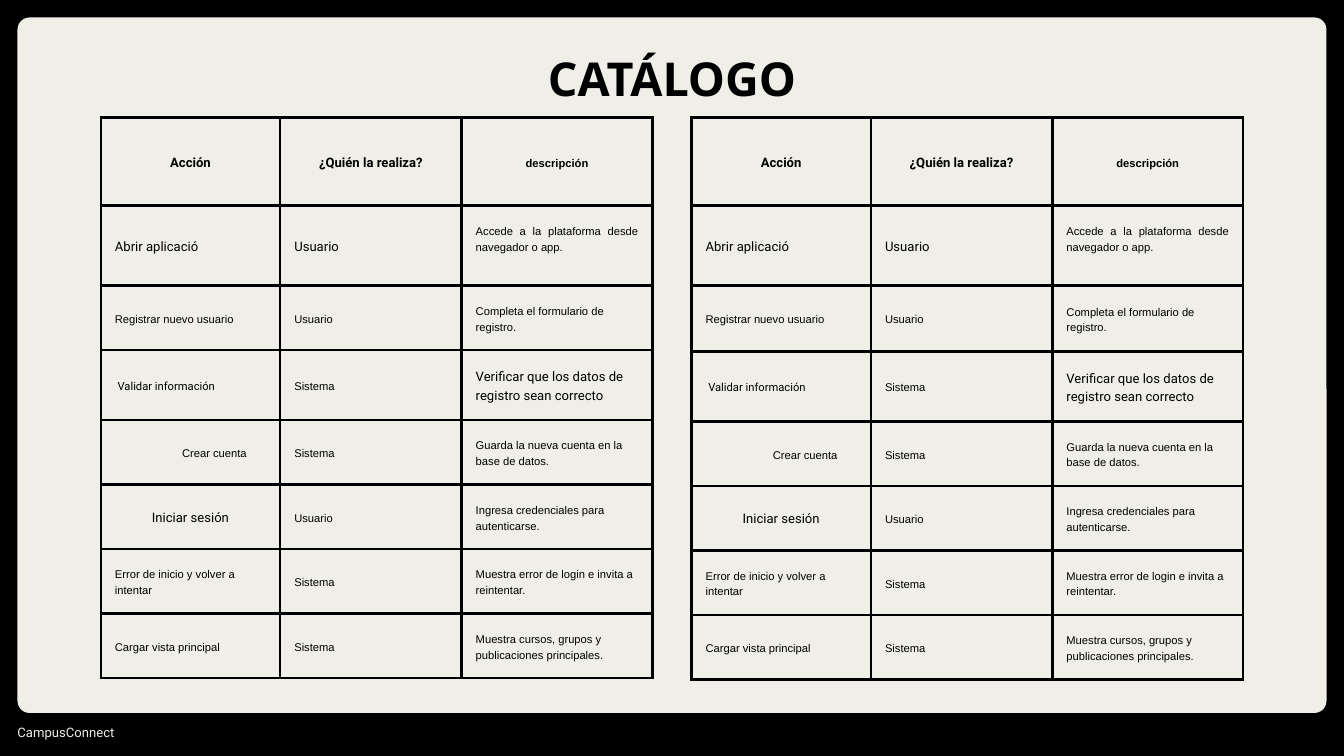
from dataclasses import dataclass

from lxml import etree
from pptx import Presentation
from pptx.dml.color import RGBColor
from pptx.enum.shapes import MSO_SHAPE
from pptx.enum.text import MSO_ANCHOR, PP_ALIGN
from pptx.oxml.ns import qn
from pptx.util import Pt

EMU_PER_PX = 9144  # 100 px to the inch
LEFT, CENTER, JUSTIFY = PP_ALIGN.LEFT, PP_ALIGN.CENTER, PP_ALIGN.JUSTIFY
TOP, MIDDLE, BOTTOM = MSO_ANCHOR.TOP, MSO_ANCHOR.MIDDLE, MSO_ANCHOR.BOTTOM
ROUNDED = MSO_SHAPE.ROUNDED_RECTANGLE
TITLE_ONLY = 5


@dataclass(frozen=True)
class TextStyle:
    font: str
    size: int
    leading: float
    bold: bool = False
    color: str = "000000"


@dataclass(frozen=True)
class Theme:
    ink: str = "000000"
    paper: str = "EFEEE7"
    border: int = 3
    title: TextStyle = TextStyle("Open Sans", 50, 70, True)
    footer: TextStyle = TextStyle("Roboto", 14, 16.8, color="EFEEE7")
    head: TextStyle = TextStyle("Roboto", 14, 19.6, True)
    small_head: TextStyle = TextStyle("Arial", 12, 16.8, True)
    large: TextStyle = TextStyle("Roboto", 14, 19.6)
    body: TextStyle = TextStyle("Arial", 12, 16.8)
    body_alt: TextStyle = TextStyle("Roboto", 12, 16.8)


THEME = Theme()


@dataclass(frozen=True)
class Entry:
    """One table cell; indent and lift widen its left and bottom margins."""
    text: str
    style: TextStyle = THEME.body
    align: PP_ALIGN = LEFT
    indent: int = 0
    lift: int = 0


@dataclass(frozen=True)
class Catalogue:
    left: int
    row_heights: tuple[int, ...]


TABLE_TOP = 175
CELL_MARGIN = 21
COLUMN_WIDTHS = (267, 270, 284)
CATALOGUES = (
    Catalogue(150, (131, 119, 96, 104, 96, 96, 96, 96)),
    Catalogue(1029, (131, 119, 98, 104, 96, 96, 96, 96)),
)
ROWS = (
    (Entry("Acción", THEME.head, CENTER),
     Entry("¿Quién la realiza?", THEME.head, CENTER),
     Entry("descripción", THEME.small_head, CENTER)),
    (Entry("Abrir aplicació", THEME.large),
     Entry("Usuario", THEME.large),
     Entry("Accede a la plataforma desde navegador o app.", align=JUSTIFY, lift=23)),
    (Entry("Registrar nuevo usuario"),
     Entry("Usuario"),
     Entry("Completa el formulario de registro.")),
    (Entry("Validar información", THEME.body_alt, indent=4),
     Entry("Sistema"),
     Entry("Verificar que los datos de registro sean correcto", THEME.large)),
    (Entry("Crear cuenta", indent=100),
     Entry("Sistema"),
     Entry("Guarda la nueva cuenta en la base de datos.")),
    (Entry("Iniciar sesión", THEME.large, CENTER),
     Entry("Usuario"),
     Entry("Ingresa credenciales para autenticarse.")),
    (Entry("Error de inicio y volver a intentar"),
     Entry("Sistema"),
     Entry("Muestra error de login e invita a reintentar.")),
    (Entry("Cargar vista principal"),
     Entry("Sistema"),
     Entry("Muestra cursos, grupos y publicaciones principales.")),
)


def px(length: int) -> int:
    return length * EMU_PER_PX


def write(frame, text: str, style: TextStyle, align: PP_ALIGN = LEFT) -> None:
    frame.word_wrap = True
    frame.text = text
    paragraph = frame.paragraphs[0]
    paragraph.alignment = align
    paragraph.line_spacing = Pt(style.leading)
    paragraph.space_before = Pt(0)
    font = paragraph.runs[0].font
    font.name, font.size, font.bold = style.font, Pt(style.size), style.bold
    font.color.rgb = RGBColor.from_string(style.color)


def set_margins(holder, left: int, top: int, right: int, bottom: int) -> None:
    holder.margin_left, holder.margin_top = px(left), px(top)
    holder.margin_right, holder.margin_bottom = px(right), px(bottom)


def add_borders(cell) -> None:
    properties = cell._tc.get_or_add_tcPr()
    for side in ("a:lnL", "a:lnR", "a:lnT", "a:lnB"):
        line = etree.SubElement(properties, qn(side), w=str(Pt(THEME.border)))
        fill = etree.SubElement(line, qn("a:solidFill"))
        etree.SubElement(fill, qn("a:srgbClr"), val=THEME.ink)


def fill_cell(cell, entry: Entry) -> None:
    write(cell.text_frame, entry.text, entry.style, entry.align)
    cell.vertical_anchor = MIDDLE
    set_margins(cell, CELL_MARGIN + entry.indent, CELL_MARGIN,
                CELL_MARGIN, CELL_MARGIN + entry.lift)
    add_borders(cell)
    cell.fill.background()


def add_catalogue(page, catalogue: Catalogue) -> None:
    table = page.shapes.add_table(
        len(ROWS), len(COLUMN_WIDTHS), px(catalogue.left), px(TABLE_TOP),
        px(sum(COLUMN_WIDTHS)), px(sum(catalogue.row_heights))).table
    table.first_row = table.horz_banding = False
    for column, width in zip(table.columns, COLUMN_WIDTHS):
        column.width = px(width)
    for row, height, entries in zip(table.rows, catalogue.row_heights, ROWS):
        row.height = px(height)
        for cell, entry in zip(row.cells, entries):
            fill_cell(cell, entry)


def add_card(page) -> None:
    width, height, radius = 1948, 1035, 18
    card = page.shapes.add_shape(ROUNDED, px(26), px(26), px(width), px(height))
    card.adjustments[0] = radius / height
    card.shadow.inherit = False
    card.fill.solid()
    card.fill.fore_color.rgb = RGBColor.from_string(THEME.paper)
    card.line.fill.background()
    # The card lies behind the title placeholder.
    page.shapes.title._element.addprevious(card._element)


def add_title(page) -> None:
    title = page.shapes.title
    title.left, title.top, title.width, title.height = map(px, (150, 60, 1700, 94))
    frame = title.text_frame
    frame.vertical_anchor = TOP
    set_margins(frame, 0, 0, 0, 0)
    write(frame, "CATÁLOGO", THEME.title, CENTER)


def add_footer(page) -> None:
    box = page.shapes.add_textbox(px(26), px(1060), px(268), px(65))
    frame = box.text_frame
    frame.vertical_anchor = BOTTOM
    set_margins(frame, 0, 0, 0, 23)
    write(frame, "CampusConnect", THEME.footer)


def main() -> None:
    deck = Presentation()
    deck.slide_width, deck.slide_height = px(2000), px(1125)
    page = deck.slides.add_slide(deck.slide_layouts[TITLE_ONLY])
    page.background.fill.solid()
    page.background.fill.fore_color.rgb = RGBColor.from_string(THEME.ink)
    add_card(page)
    add_footer(page)
    add_title(page)
    for catalogue in CATALOGUES:
        add_catalogue(page, catalogue)
    deck.save("out.pptx")


if __name__ == "__main__":
    main()
